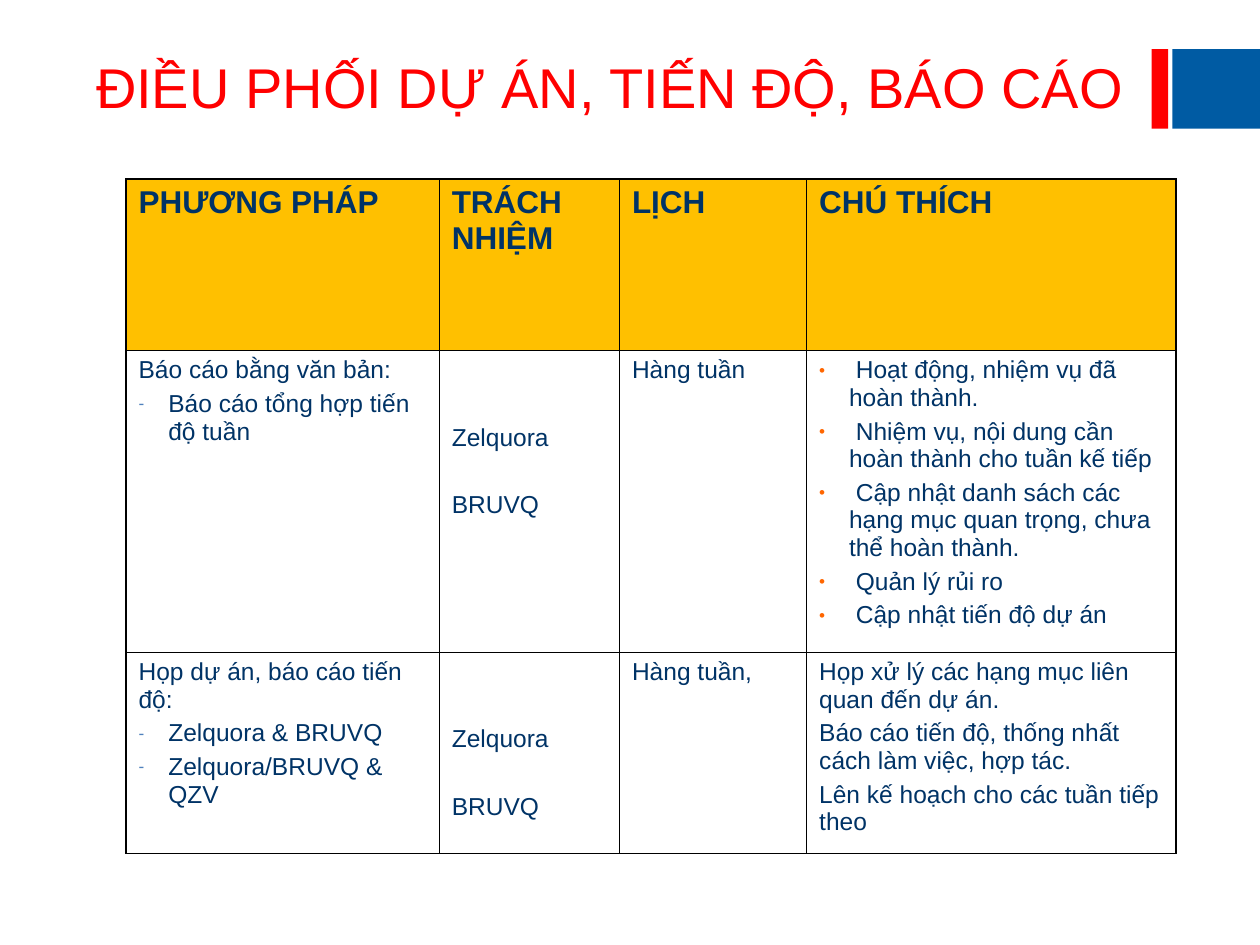
from dataclasses import dataclass

import lxml.etree
import pptx
import pptx.dml.color
import pptx.enum.shapes
import pptx.enum.text
import pptx.oxml.ns
import pptx.util

Pt = pptx.util.Pt
qn = pptx.oxml.ns.qn


@dataclass(frozen=True)
class Theme:
    font: str = "Arial"
    red: str = "FF0000"
    blue: str = "005BA3"
    navy: str = "003366"
    amber: str = "FFC000"
    dash: str = "4F81BD"
    dot: str = "FF6600"
    border: str = "000000"
    title_size: float = 32
    header_size: float = 18
    body_size: float = 14
    body_gap: float = 3.5
    bullet_indent: float = 17
    outer_line: float = 1.08
    inner_line: float = 0.45


THEME = Theme()
COLUMN_WIDTHS = (179, 103, 107, 211)
ROW_HEIGHTS = (98, 165.5, 107.5)
PARTNER_TOP = 42
PARTNER_GAP = 22.8

HEADERS = ("PHƯƠNG PHÁP", "TRÁCH NHIỆM", "LỊCH", "CHÚ THÍCH")
PARTNERS = [("", "Zelquora"), ("", "BRUVQ")]
ACTIVITIES = [
    [
        [("", "Báo cáo bằng văn bản:"), ("-", "Báo cáo tổng hợp tiến độ tuần")],
        PARTNERS,
        [("", "Hàng tuần")],
        [
            ("•", " Hoạt động, nhiệm vụ đã hoàn thành."),
            ("•", " Nhiệm vụ, nội dung cần hoàn thành cho tuần kế tiếp"),
            ("•", " Cập nhật danh sách các hạng mục quan trọng, chưa thể hoàn thành."),
            ("•", " Quản lý rủi ro"),
            ("•", " Cập nhật tiến độ dự án"),
        ],
    ],
    [
        [
            ("", "Họp dự án, báo cáo tiến độ:"),
            ("-", "Zelquora & BRUVQ"),
            ("-", "Zelquora/BRUVQ & QZV"),
        ],
        PARTNERS,
        [("", "Hàng tuần,")],
        [
            ("", "Họp xử lý các hạng mục liên quan đến dự án."),
            ("", "Báo cáo tiến độ, thống nhất cách làm việc, hợp tác."),
            ("", "Lên kế hoạch cho các tuần tiếp theo"),
        ],
    ],
]


def rgb(value):
    return pptx.dml.color.RGBColor.from_string(value)


def style_font(paragraph, size, color, bold=False):
    font = paragraph.font
    font.name = THEME.font
    font.size = Pt(size)
    font.bold = bold
    font.color.rgb = rgb(color)


def add_bullet(paragraph, mark):
    properties = paragraph._p.get_or_add_pPr()
    properties.set("marL", str(Pt(THEME.bullet_indent)))
    properties.set("indent", str(-Pt(THEME.bullet_indent)))
    color = lxml.etree.SubElement(properties, qn("a:buClr"))
    mark_color = THEME.dash if mark == "-" else THEME.dot
    lxml.etree.SubElement(color, qn("a:srgbClr"), val=mark_color)
    lxml.etree.SubElement(properties, qn("a:buSzPct"), val="70000")
    lxml.etree.SubElement(properties, qn("a:buFont"), typeface=THEME.font)
    lxml.etree.SubElement(properties, qn("a:buChar"), char=mark)


def set_borders(cell, outer_sides):
    properties = cell._tc.get_or_add_tcPr()
    for side in "LRTB":
        weight = THEME.outer_line if side in outer_sides else THEME.inner_line
        line = lxml.etree.SubElement(properties, qn(f"a:ln{side}"), w=str(Pt(weight)))
        fill = lxml.etree.SubElement(line, qn("a:solidFill"))
        lxml.etree.SubElement(fill, qn("a:srgbClr"), val=THEME.border)


def write_lines(cell, lines, size, bold, gap):
    frame = cell.text_frame
    for index, (mark, text) in enumerate(lines):
        paragraph = frame.add_paragraph() if index else frame.paragraphs[0]
        paragraph.text = text
        if mark:
            add_bullet(paragraph, mark)
        if index:
            paragraph.space_before = Pt(gap)
        style_font(paragraph, size, THEME.navy, bold)


def add_title(slide, left, top, width, height):
    frame = slide.shapes.add_textbox(Pt(left), Pt(top), Pt(width), Pt(height)).text_frame
    frame.word_wrap = True
    frame.vertical_anchor = pptx.enum.text.MSO_ANCHOR.MIDDLE
    heading = frame.paragraphs[0]
    heading.text = "ĐIỀU PHỐI DỰ ÁN, TIẾN ĐỘ, BÁO CÁO"
    heading.alignment = pptx.enum.text.PP_ALIGN.RIGHT
    style_font(heading, THEME.title_size, THEME.red)


def add_accent(slide, left, top, width, height):
    stripe, gap = 9.5, 2.5
    block_offset = stripe + gap
    bars = ((0, stripe, THEME.red), (block_offset, width - block_offset, THEME.blue))
    for offset, bar_width, color in bars:
        bar = slide.shapes.add_shape(
            pptx.enum.shapes.MSO_SHAPE.RECTANGLE,
            Pt(left + offset), Pt(top), Pt(bar_width), Pt(height),
        )
        bar.shadow.inherit = False
        bar.fill.solid()
        bar.fill.fore_color.rgb = rgb(color)
        bar.line.fill.background()


def add_report_table(slide, left, top, width, height):
    rows = [[[("", header)] for header in HEADERS], *ACTIVITIES]
    last_row, last_column = len(rows) - 1, len(HEADERS) - 1
    table = slide.shapes.add_table(
        len(rows), len(HEADERS), Pt(left), Pt(top), Pt(width), Pt(height)
    ).table
    table.first_row = table.horz_banding = False
    for column, share in zip(table.columns, COLUMN_WIDTHS):
        column.width = Pt(width * share / sum(COLUMN_WIDTHS))
    for row, share in zip(table.rows, ROW_HEIGHTS):
        row.height = Pt(height * share / sum(ROW_HEIGHTS))

    for r, row in enumerate(rows):
        for c, lines in enumerate(row):
            cell = table.cell(r, c)
            edges = {"T": r == 0, "B": r == last_row, "L": c == 0, "R": c == last_column}
            set_borders(cell, [side for side, is_outer in edges.items() if is_outer])
            is_header = r == 0
            if is_header:
                cell.fill.solid()
                cell.fill.fore_color.rgb = rgb(THEME.amber)
            else:
                cell.fill.background()
            is_partners = lines is PARTNERS
            if is_partners:
                cell.margin_top = Pt(PARTNER_TOP)
            size = THEME.header_size if is_header else THEME.body_size
            gap = PARTNER_GAP if is_partners else THEME.body_gap
            write_lines(cell, lines, size, is_header, gap)


def main():
    presentation = pptx.Presentation()
    presentation.slide_width, presentation.slide_height = Pt(720), Pt(540)
    slide = presentation.slides.add_slide(presentation.slide_layouts[6])
    add_accent(slide, 658, 28, 62, 45.5)
    add_title(slide, 36, 21.5, 613.5, 55.5)
    add_report_table(slide, 72, 102.25, sum(COLUMN_WIDTHS), sum(ROW_HEIGHTS))
    presentation.save("out.pptx")


if __name__ == "__main__":
    main()
